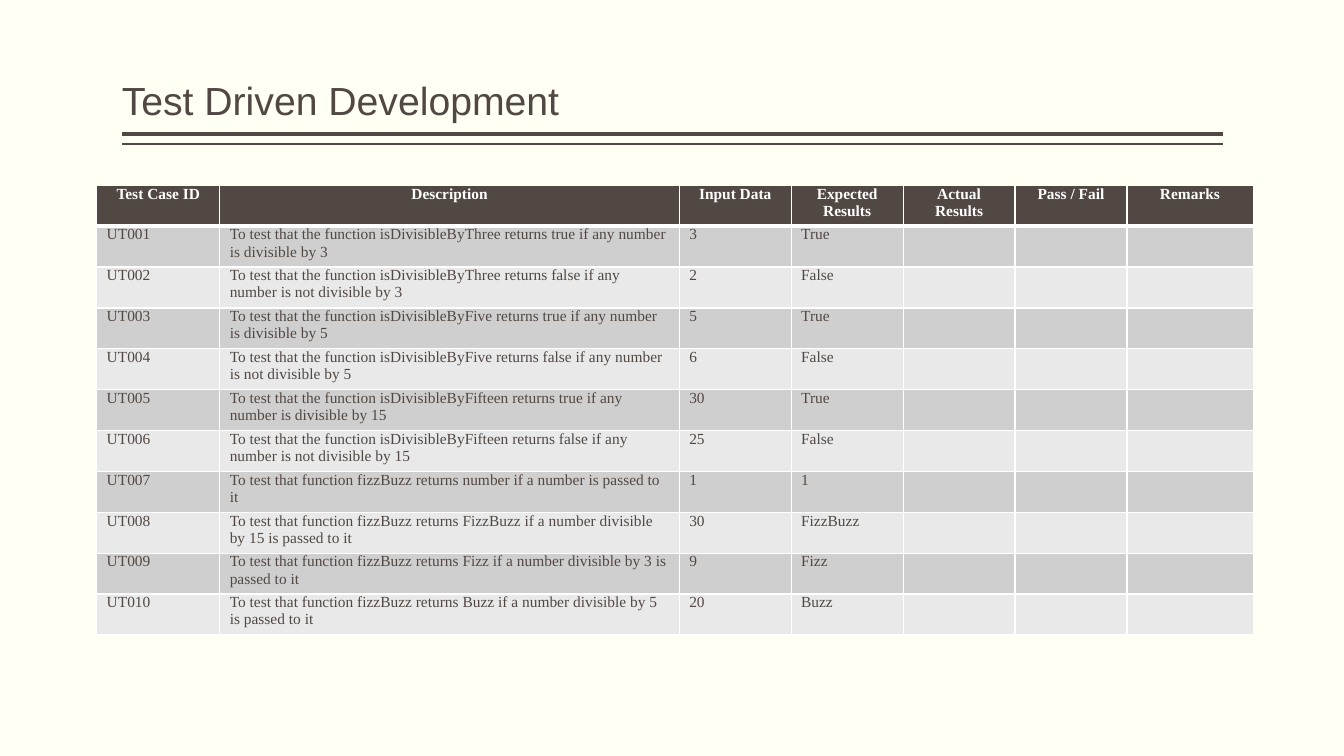
from lxml import etree
from pptx import Presentation
from pptx import util as u
from pptx.dml.color import RGBColor
from pptx.enum import shapes, text
from pptx.oxml import ns

CREAM = RGBColor(0xFF, 0xFF, 0xF3)
BROWN = RGBColor(0x51, 0x48, 0x43)
WHITE = RGBColor(0xFF, 0xFF, 0xFF)
DARK_BAND = RGBColor(0xD0, 0xCF, 0xCF)
LIGHT_BAND = RGBColor(0xE9, 0xE9, 0xE9)

LEFT, RIGHT = u.Cm(3.07), u.Cm(30.81)
COLUMN_WIDTHS = [3.1, 11.58, 2.82, 2.82, 2.82, 2.82, 3.18]
ROW_HEIGHT = 1.03

HEADERS = ["Test Case ID", "Description", "Input Data", "Expected Results",
           "Actual Results", "Pass / Fail", "Remarks"]
# Description, input data, expected result
TEST_CASES = [
    ("To test that the function isDivisibleByThree returns true if any number is divisible by 3", "3", "True"),
    ("To test that the function isDivisibleByThree returns false if any number is not divisible by 3", "2", "False"),
    ("To test that the function isDivisibleByFive returns true if any number is divisible by 5", "5", "True"),
    ("To test that the function isDivisibleByFive returns false if any number is not divisible by 5", "6", "False"),
    ("To test that the function isDivisibleByFifteen returns true if any number is divisible by 15", "30", "True"),
    ("To test that the function isDivisibleByFifteen returns false if any number is not divisible by 15", "25", "False"),
    ("To test that function fizzBuzz returns number if a number is passed to it", "1", "1"),
    ("To test that function fizzBuzz returns FizzBuzz if a number divisible by 15 is passed to it", "30", "FizzBuzz"),
    ("To test that function fizzBuzz returns Fizz if a number divisible by 3 is passed to it", "9", "Fizz"),
    ("To test that function fizzBuzz returns Buzz if a number divisible by 5 is passed to it", "20", "Buzz"),
]


def format_runs(paragraph, name, size, color, bold=False):
    for run in paragraph.runs:
        run.font.name = name
        run.font.size = u.Pt(size)
        run.font.color.rgb = color
        run.font.bold = bold


def set_title(slide, title_text):
    title = slide.shapes.title
    title.left, title.top = LEFT, u.Cm(0.2)
    title.width, title.height = RIGHT - LEFT, u.Cm(3.05)
    frame = title.text_frame
    frame.text = title_text
    frame.auto_size = text.MSO_AUTO_SIZE.NONE
    frame.vertical_anchor = text.MSO_ANCHOR.BOTTOM
    frame.margin_left = frame.margin_right = 0
    paragraph = frame.paragraphs[0]
    paragraph.alignment = text.PP_ALIGN.LEFT
    paragraph.line_spacing = 0.9
    format_runs(paragraph, "Arial", 28, BROWN)


def add_rule(slide, top, weight):
    rule = slide.shapes.add_connector(
        shapes.MSO_CONNECTOR.STRAIGHT, RIGHT, u.Cm(top), LEFT, u.Cm(top))
    rule.line.color.rgb = BROWN
    rule.line.width = u.Pt(weight)
    etree.SubElement(rule.element.spPr, ns.qn("a:effectLst"))


def set_borders(cell, top, bottom):
    properties = cell._tc.get_or_add_tcPr()
    for side, weight in (("L", 1), ("R", 1), ("T", top), ("B", bottom)):
        line = etree.SubElement(properties, ns.qn(f"a:ln{side}"), w=str(u.Pt(weight)))
        fill = etree.SubElement(line, ns.qn("a:solidFill"))
        etree.SubElement(fill, ns.qn("a:srgbClr"), val=str(WHITE))


def fill_cell(cell, value, row_index):
    is_header = row_index == 0
    set_borders(cell, 3 if row_index == 1 else 1, 3 if is_header else 1)
    cell.fill.solid()
    if is_header:
        cell.fill.fore_color.rgb = BROWN
    else:
        cell.fill.fore_color.rgb = DARK_BAND if row_index % 2 else LIGHT_BAND
    cell.margin_left = cell.margin_right = u.Cm(0.25)
    cell.margin_top = cell.margin_bottom = 0
    if value:
        cell.text_frame.text = value
        paragraph = cell.text_frame.paragraphs[0]
        if is_header:
            paragraph.alignment = text.PP_ALIGN.CENTER
        format_runs(paragraph, "Times New Roman", 11,
                    WHITE if is_header else BROWN, is_header)


def add_test_table(slide, rows):
    table = slide.shapes.add_table(
        len(rows), len(COLUMN_WIDTHS), u.Cm(2.44), u.Cm(4.67),
        u.Cm(sum(COLUMN_WIDTHS)), u.Cm(ROW_HEIGHT * len(rows))).table
    for column, width in zip(table.columns, COLUMN_WIDTHS):
        column.width = u.Cm(width)
    for row_index, values in enumerate(rows):
        table.rows[row_index].height = u.Cm(ROW_HEIGHT)
        for column_index, value in enumerate(values):
            fill_cell(table.cell(row_index, column_index), value, row_index)


def main():
    presentation = Presentation()
    presentation.slide_width, presentation.slide_height = u.Cm(33.87), u.Cm(19.05)
    slide = presentation.slides.add_slide(presentation.slide_layouts[5])
    slide.background.fill.solid()
    slide.background.fill.fore_color.rgb = CREAM

    # Title with a double rule below it
    set_title(slide, "Test Driven Development")
    add_rule(slide, 3.38, 3)
    add_rule(slide, 3.63, 1)

    # Test cases, with the last three columns left to fill in
    cases = [[f"UT{number:03}", *case, "", "", ""]
             for number, case in enumerate(TEST_CASES, 1)]
    add_test_table(slide, [HEADERS, *cases])

    presentation.save("out.pptx")


if __name__ == "__main__":
    main()
